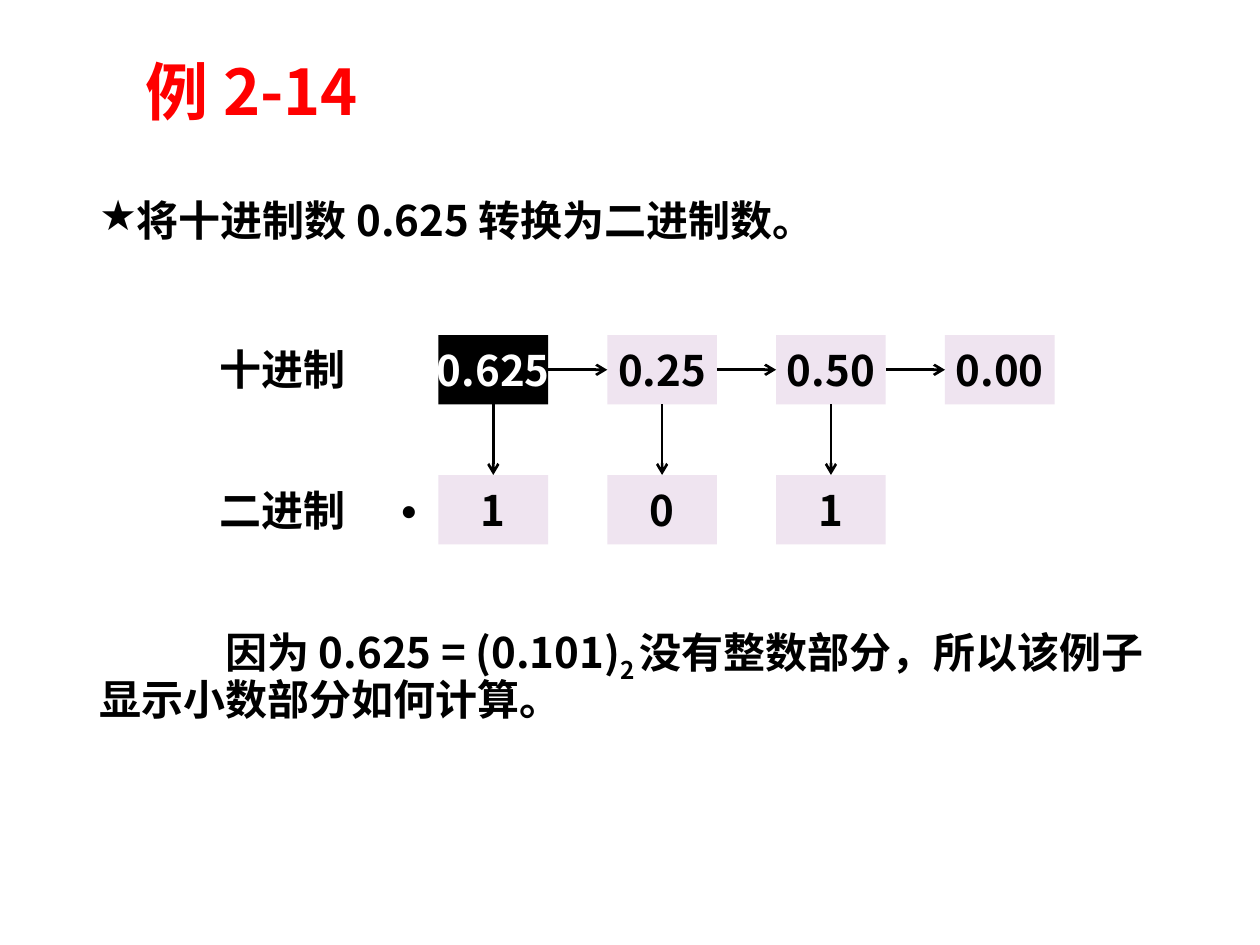
from lxml import etree
from pptx import Presentation
from pptx import util as u
from pptx.dml.color import RGBColor
from pptx.enum import shapes, text
from pptx.oxml.ns import qn

SANS = "Noto Sans CJK SC"
BLACK, WHITE, RED, LILAC = "000000", "FFFFFF", "FF0000", "EFE4F0"
LEFT, STEP, WIDE, HIGH = 3.48, 1.34, 0.87, 0.55
TOP, LOW = 2.66, 3.77


def color(code):
    return RGBColor.from_string(code)


def add_run(para, words, size=24, ink=BLACK, face=SANS, base=0):
    run = para.add_run()
    run.text = words
    font = run.font
    font.size, font.bold, font.name = u.Pt(size), True, face
    font.color.rgb = color(ink)
    props = run._r.get_or_add_rPr()
    etree.SubElement(props, qn("a:ea")).set("typeface", SANS)
    if base:
        props.set("baseline", str(base * 1000))


def add_text(slide, left, top, width, height, wrap=True):
    box = slide.shapes.add_textbox(*map(u.Inches, (left, top, width, height)))
    frame = box.text_frame
    frame.word_wrap = wrap
    return frame


def set_indent(para, margin, first):
    props = para._p.get_or_add_pPr()
    props.set("marL", str(u.Inches(margin)))
    props.set("indent", str(u.Inches(first)))
    return props


def add_label(slide, words, left, top, width, face="Calibri"):
    frame = add_text(slide, left, top, width, 0.5, wrap=False)
    add_run(frame.paragraphs[0], words, face=face)


def add_cell(slide, words, col, top, fill=LILAC, ink=BLACK):
    place = (LEFT + col * STEP, top, WIDE, HIGH)
    cell = slide.shapes.add_shape(shapes.MSO_SHAPE.RECTANGLE, *map(u.Inches, place))
    cell.shadow.inherit = False
    cell.fill.solid()
    cell.fill.fore_color.rgb = color(fill)
    cell.line.fill.background()
    frame = cell.text_frame
    frame.word_wrap = False
    frame.vertical_anchor = text.MSO_ANCHOR.MIDDLE
    para = frame.paragraphs[0]
    para.alignment = text.PP_ALIGN.CENTER
    add_run(para, words)
    para.runs[0].font.color.rgb = color(ink)
    return cell


def add_arrow(slide, start, out, end, into):
    line = slide.shapes.add_connector(shapes.MSO_CONNECTOR.STRAIGHT, 0, 0, 0, 0)
    line.begin_connect(start, out)
    line.end_connect(end, into)
    line.line.color.rgb = color(BLACK)
    line.line.width = u.Pt(1.5)
    etree.SubElement(line.line._get_or_add_ln(), qn("a:tailEnd")).set("type", "arrow")
    etree.SubElement(line._element.spPr, qn("a:effectLst"))


def add_title(slide):
    frame = add_text(slide, 1.06, 0.43, 7.87, 0.65)
    frame.vertical_anchor = text.MSO_ANCHOR.MIDDLE
    para = frame.paragraphs[0]
    para.line_spacing = 0.9
    add_run(para, "例 2-14", 36, RED)


def add_task(slide):
    para = add_text(slide, 0.69, 1.54, 8.62, 0.6).paragraphs[0]
    para.line_spacing = 0.9
    props = set_indent(para, 0.25, -0.25)
    etree.SubElement(props, qn("a:buChar")).set("char", "★")
    add_run(para, "将十进制数 0.625 转换为二进制数。")


def add_reason(slide):
    para = add_text(slide, 0.69, 4.93, 8.62, 1.0).paragraphs[0]
    para.line_spacing = 0.9
    set_indent(para, 0, 1)
    add_run(para, "因为 0.625 = (0.101)")
    add_run(para, "2 ", base=-25)
    add_run(para, "没有整数部分，所以该例子显示小数部分如何计算。")


def add_steps(slide):
    add_label(slide, "十进制", 1.64, TOP + 0.02, 1.21)
    add_label(slide, "二进制", 1.64, LOW + 0.03, 1.21)
    add_label(slide, "•", 3.09, LOW + 0.03, 0.34, "Arial")
    upper = [add_cell(slide, "0.625", 0, TOP, BLACK, WHITE)]
    for col, words in enumerate(("0.25", "0.50", "0.00"), 1):
        upper.append(add_cell(slide, words, col, TOP))
    lower = [add_cell(slide, bit, col, LOW) for col, bit in enumerate("101")]
    for start, end in zip(upper, upper[1:]):
        add_arrow(slide, start, 3, end, 1)
    for start, end in zip(upper, lower):
        add_arrow(slide, start, 2, end, 0)


def main():
    deck = Presentation()
    deck.slide_width, deck.slide_height = u.Inches(10), u.Inches(7.5)
    slide = deck.slides.add_slide(deck.slide_layouts[6])
    add_title(slide)
    add_task(slide)
    add_steps(slide)
    add_reason(slide)
    deck.save("out.pptx")


if __name__ == "__main__":
    main()
